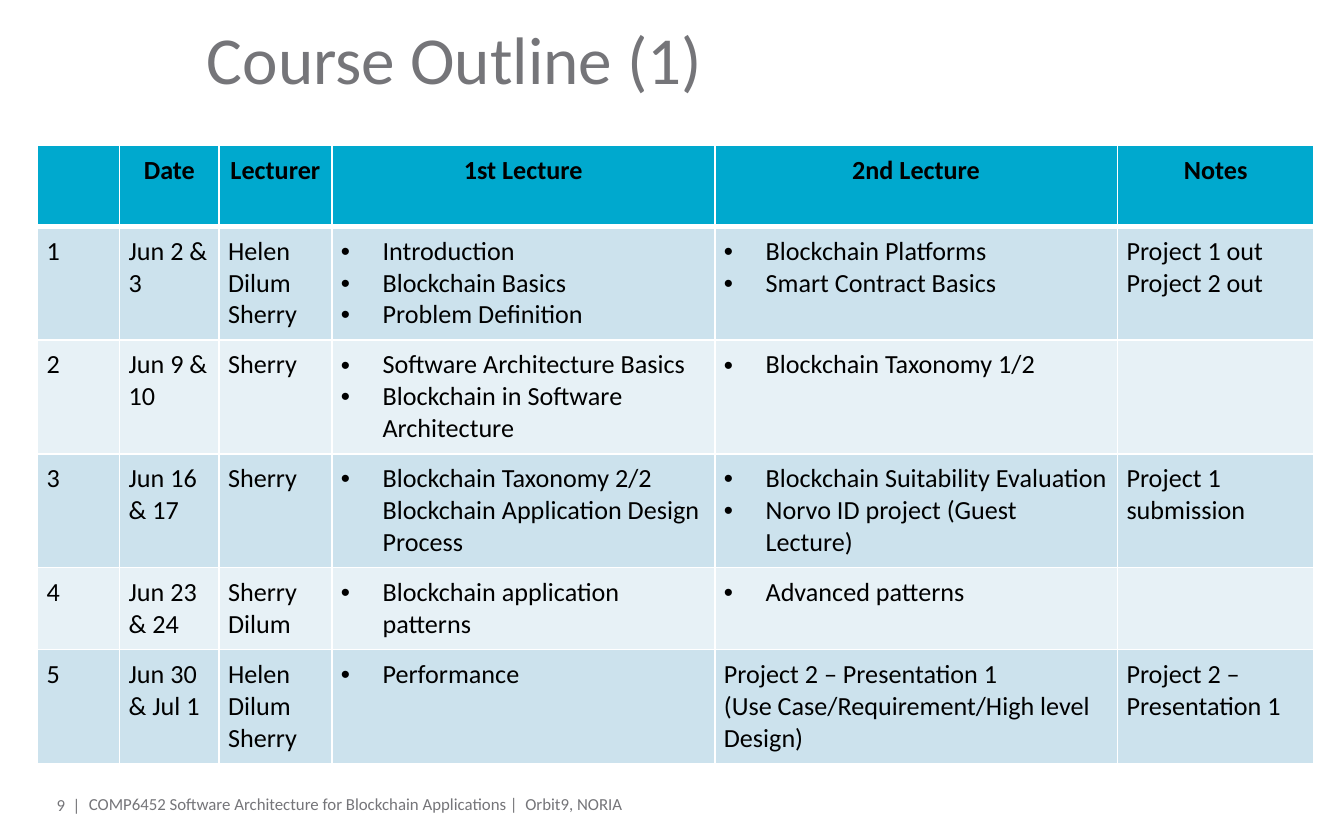
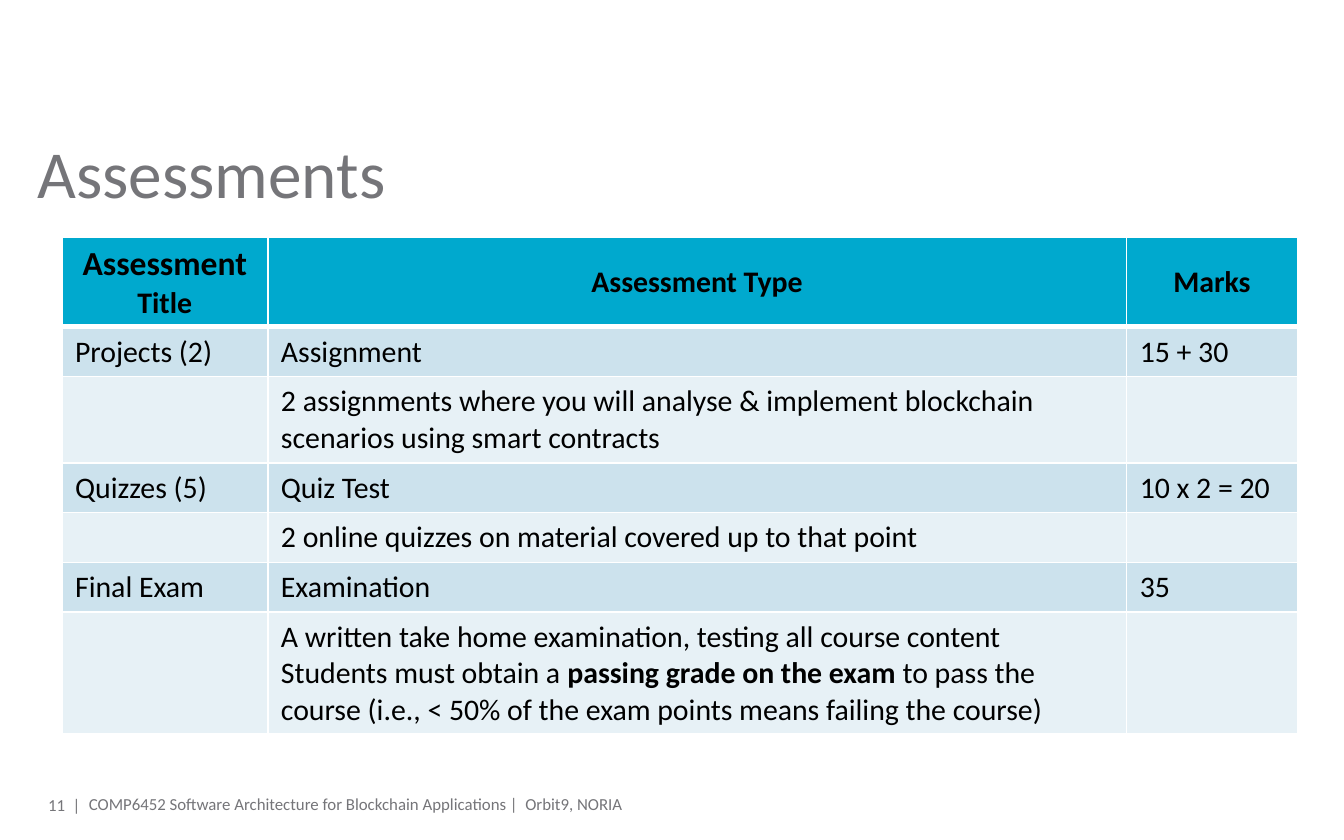
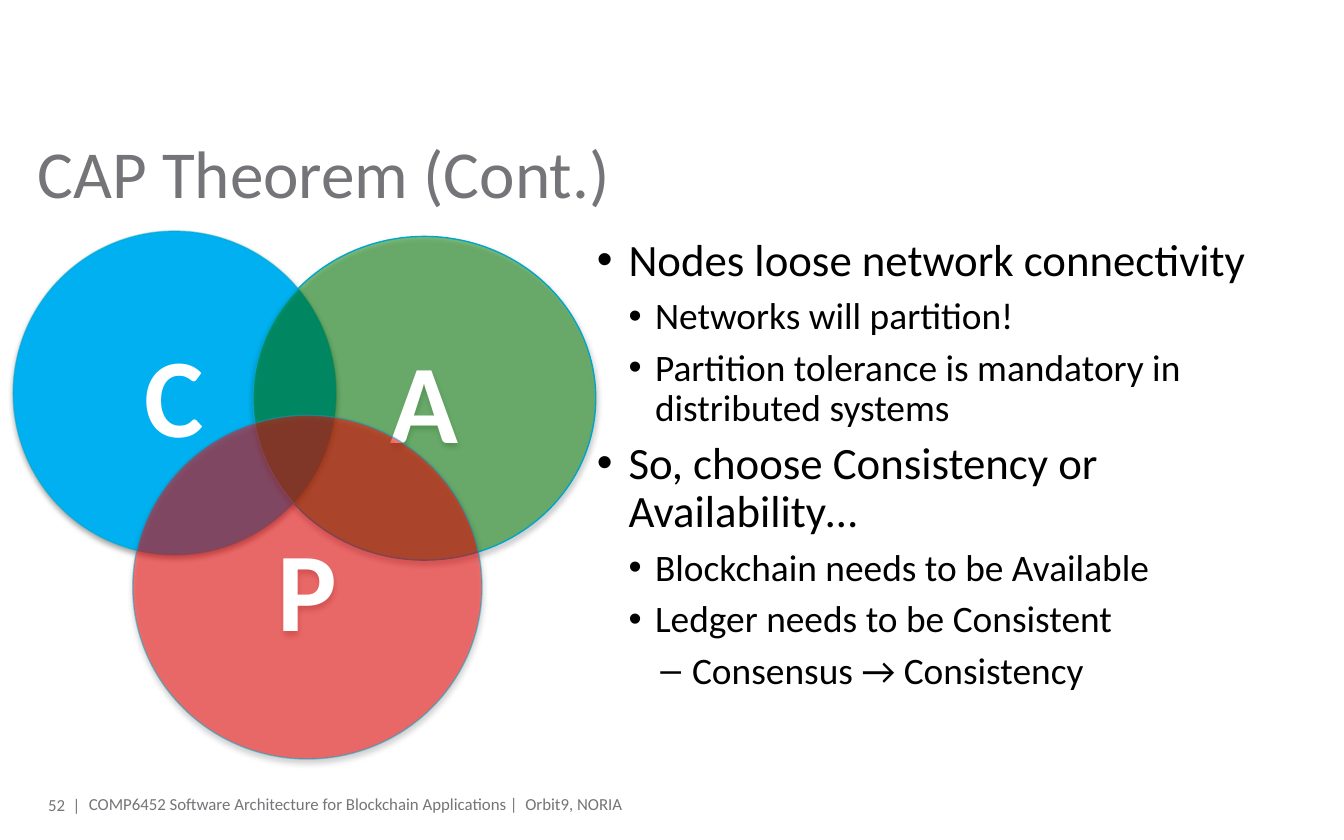
from dataclasses import dataclass

from lxml.etree import SubElement
from pptx import Presentation
from pptx.dml.color import RGBColor
from pptx.enum.shapes import MSO_SHAPE
from pptx.enum.text import MSO_ANCHOR, PP_ALIGN
from pptx.oxml.ns import qn
from pptx.util import Cm, Pt


@dataclass(frozen=True)
class Theme:
    font: str = "Calibri"
    grey: str = "757579"
    black: str = "000000"
    white: str = "FFFFFF"
    header: str = "00A9CE"
    bands: tuple = ("CCE2ED", "E7F1F6")
    outline: str = "00A5C9"
    title: int = 36
    footer: int = 9
    outline_table: int = 14
    marks_table: int = 16
    circle: int = 60


T = Theme()


@dataclass
class Para:
    """One paragraph: runs are (text, format) pairs; indents are in cm."""
    runs: list
    bullet: str = ""
    left: float = 0
    hang: float = 0
    size: int = 0
    level: int = 0


def points(*texts):
    return [Para([(t, {})], "•", 0.79, 0.79) for t in texts]


def body(level, text):
    bullet, left, hang, size = [("•", 0.6, 0.6, 24), ("•", 1.1, 0.5, 20),
                                ("–", 1.8, 0.6, 20)][level]
    return Para([(text, {})], bullet, left, hang, size, level)


# Content
FOOTER = "COMP6452 Software Architecture for Blockchain Applications |  Orbit9, NORIA"
ALL_LECTURERS = ["Helen", "Dilum", "Sherry"]

OUTLINE = [
    ["", "Date", "Lecturer", "1st Lecture", "2nd Lecture", "Notes"],
    ["1", "Jun 2 & 3", ALL_LECTURERS,
     points("Introduction", "Blockchain Basics", "Problem Definition"),
     points("Blockchain Platforms", "Smart Contract Basics"),
     ["Project 1 out", "Project 2 out"]],
    ["2", "Jun 9 & 10", "Sherry",
     points("Software Architecture Basics", "Blockchain in Software Architecture"),
     points("Blockchain Taxonomy 1/2"), ""],
    ["3", "Jun 16 & 17", "Sherry",
     points("Blockchain Taxonomy 2/2\nBlockchain Application Design Process"),
     points("Blockchain Suitability Evaluation", "Norvo ID project (Guest Lecture)"),
     "Project 1 submission"],
    ["4", "Jun 23 & 24", ["Sherry", "Dilum"],
     points("Blockchain application patterns"), points("Advanced patterns"), ""],
    ["5", "Jun 30 & Jul 1", ALL_LECTURERS, points("Performance"),
     ["Project 2 – Presentation 1", "(Use Case/Requirement/High level Design)"],
     "Project 2 – Presentation 1"],
]
OUTLINE_COLS = [1.55, 1.88, 2.13, 7.24, 7.61, 3.71]
OUTLINE_ROWS = [1.53, 2.15, 2.15, 2.15, 1.55, 2.15]

ASSESSMENTS = [
    [Para([("Assessment", {"size": 18}), (" Title", {})]), "Assessment Type", "Marks"],
    ["Projects (2)", "Assignment", "15 + 30"],
    ["", "2 assignments where you will analyse & implement blockchain "
         "scenarios using smart contracts", ""],
    ["Quizzes (5)", "Quiz Test", "10 x 2 = 20"],
    ["", "2 online quizzes on material covered up to that point", ""],
    ["Final Exam", "Examination", "35"],
    ["", ["A written take home examination, testing all course content",
          Para([("Students must obtain a ", {}),
                ("passing grade on the exam ", {"bold": True}),
                ("to pass the course (i.e., < 50% of the exam points means "
                 "failing the course)", {})])], ""],
]
ASSESSMENT_COLS = [3.89, 16.23, 3.23]
ASSESSMENT_ROWS = [1.7, 0.94, 1.63, 0.94, 0.94, 0.94, 2.3]

CAP_POINTS = [
    body(0, "Nodes loose network connectivity"),
    body(1, "Networks will partition!"),
    body(1, "Partition tolerance is mandatory in distributed systems"),
    body(0, "So, choose Consistency or Availability…"),
    body(1, "Blockchain needs to be Available"),
    body(1, "Ledger needs to be Consistent"),
    body(2, "Consensus → Consistency"),
]
# letter, box in cm, fill, fill opacity, line opacity
CIRCLES = [
    ("C", (0.25, 4.37, 6.1, 6.12), "00B0F0", 100, 50),
    ("A", (4.78, 4.47, 6.48, 6.12), "008000", 50, 100),
    ("P", (2.51, 7.85, 6.6, 6.5), "FF0000", 50, 50),
]


# Text
def rgb(colour):
    return RGBColor.from_string(colour)


def add_bullet(p, para):
    pPr = p._p.get_or_add_pPr()
    pPr.set("marL", str(Cm(para.left)))
    pPr.set("indent", str(-Cm(para.hang)))
    SubElement(pPr, qn("a:buFont"), typeface="Arial")
    SubElement(pPr, qn("a:buChar"), char=para.bullet)


def write(tf, content, size, color=T.black, bold=False, align=PP_ALIGN.LEFT,
          anchor=MSO_ANCHOR.TOP, spacing=None, before=0):
    """Fill a text frame with a string, a Para or a list of either."""
    tf.word_wrap = True
    tf.vertical_anchor = anchor
    items = content if isinstance(content, list) else [content]
    for i, item in enumerate(items):
        para = item if isinstance(item, Para) else Para([(item, {})])
        p = tf.add_paragraph() if i else tf.paragraphs[0]
        p.alignment = align
        p.level = para.level
        if spacing:
            p.line_spacing = spacing
        if i and before:
            p.space_before = Pt(before)
        if para.bullet:
            add_bullet(p, para)
        for text, extra in para.runs:
            if not text:  # an empty cell keeps the type size of its row
                SubElement(p._p, qn("a:endParaRPr"), sz=str(size * 100))
                continue
            for n, line in enumerate(text.split("\n")):
                if n:
                    p.add_line_break()
                r = p.add_run()
                r.text = line
                r.font.name = T.font
                r.font.size = Pt(extra.get("size", para.size or size))
                r.font.bold = extra.get("bold", bold)
                r.font.color.rgb = rgb(color)


def add_text(s, box, content, size, **fmt):
    tf = s.shapes.add_textbox(*map(Cm, box)).text_frame
    tf.margin_left = tf.margin_right = tf.margin_top = tf.margin_bottom = 0
    write(tf, content, size, **fmt)


# Shared slide parts
def new_slide(prs, title, number, title_box=(0.71, 2.49, 24, 1.98)):
    s = prs.slides.add_slide(prs.slide_layouts[6])
    add_text(s, title_box, title, T.title, color=T.grey)
    footer = dict(color=T.grey, anchor=MSO_ANCHOR.MIDDLE)
    add_text(s, (1.68, 15.06, 16.89, 0.28), FOOTER, T.footer, **footer)
    add_text(s, (0.71, 15.06, 0.81, 0.3), f"{number}  |", T.footer,
             align=PP_ALIGN.RIGHT, **footer)
    return s


# Tables
def add_borders(cell, row):
    tcPr = cell._tc.get_or_add_tcPr()
    thick = {0: "B", 1: "T"}.get(row)
    for side in "LRTB":
        width = Pt(3 if side == thick else 1)
        ln = SubElement(tcPr, qn(f"a:ln{side}"), w=str(width))
        fill = SubElement(ln, qn("a:solidFill"))
        SubElement(fill, qn("a:srgbClr"), val=T.white)


def add_grid(s, left, top, cols, rows, cells, size, margins,
             header_anchor=MSO_ANCHOR.TOP):
    table = s.shapes.add_table(len(rows), len(cols), Cm(left), Cm(top),
                               Cm(sum(cols)), Cm(sum(rows))).table
    for col, width in zip(table.columns, cols):
        col.width = Cm(width)
    for row, height in zip(table.rows, rows):
        row.height = Cm(height)
    for i, line in enumerate(cells):
        head = i == 0
        for j, content in enumerate(line):
            cell = table.cell(i, j)
            cell.margin_left = cell.margin_right = Cm(margins[0])
            cell.margin_top = cell.margin_bottom = Cm(margins[1])
            add_borders(cell, i)
            cell.fill.solid()
            cell.fill.fore_color.rgb = rgb(T.header if head else T.bands[(i - 1) % 2])
            write(cell.text_frame, content, size, bold=head,
                  align=PP_ALIGN.CENTER if head else PP_ALIGN.LEFT)
            cell.vertical_anchor = header_anchor if head else MSO_ANCHOR.TOP


# Circles
def set_opacity(fill, percent):
    if percent < 100:
        clr = fill._xPr.find(qn("a:solidFill"))[0]
        SubElement(clr, qn("a:alpha"), val=str(percent * 1000))


def add_circle(s, letter, box, colour, opacity, line_opacity):
    sp = s.shapes.add_shape(MSO_SHAPE.OVAL, *map(Cm, box))
    sp.fill.solid()
    sp.fill.fore_color.rgb = rgb(colour)
    set_opacity(sp.fill, opacity)
    sp.line.width = Pt(0.75)
    sp.line.color.rgb = rgb(T.outline)
    set_opacity(sp.line.fill, line_opacity)
    # Soft shadow straight below
    sp.shadow.inherit = False
    effects = sp._element.spPr.find(qn("a:effectLst"))
    shadow = SubElement(effects, qn("a:outerShdw"), blurRad=str(Pt(3.1)),
                        dist=str(Pt(1.8)), dir="5400000", rotWithShape="0")
    clr = SubElement(shadow, qn("a:srgbClr"), val=T.black)
    SubElement(clr, qn("a:alpha"), val="35000")
    write(sp.text_frame, letter, T.circle, color=T.white, bold=True,
          align=PP_ALIGN.CENTER, anchor=MSO_ANCHOR.MIDDLE)


def main():
    prs = Presentation()
    prs.slide_width, prs.slide_height = Cm(25.4), Cm(15.88)

    s = new_slide(prs, "Course Outline (1)", 9, (3.91, 0.33, 14.6, 1.98))
    add_grid(s, 0.71, 2.75, OUTLINE_COLS, OUTLINE_ROWS, OUTLINE,
             T.outline_table, (0.17, 0.17))

    s = new_slide(prs, "Assessments", 11)
    add_grid(s, 1.17, 4.48, ASSESSMENT_COLS, ASSESSMENT_ROWS, ASSESSMENTS,
             T.marks_table, (0.25, 0.13), MSO_ANCHOR.MIDDLE)

    s = new_slide(prs, "CAP Theorem (Cont.)", 52)
    add_text(s, (11.28, 4.5, 13.79, 10.24), CAP_POINTS, 20, spacing=0.9, before=6)
    for circle in CIRCLES:
        add_circle(s, *circle)

    prs.save("out.pptx")


if __name__ == "__main__":
    main()
